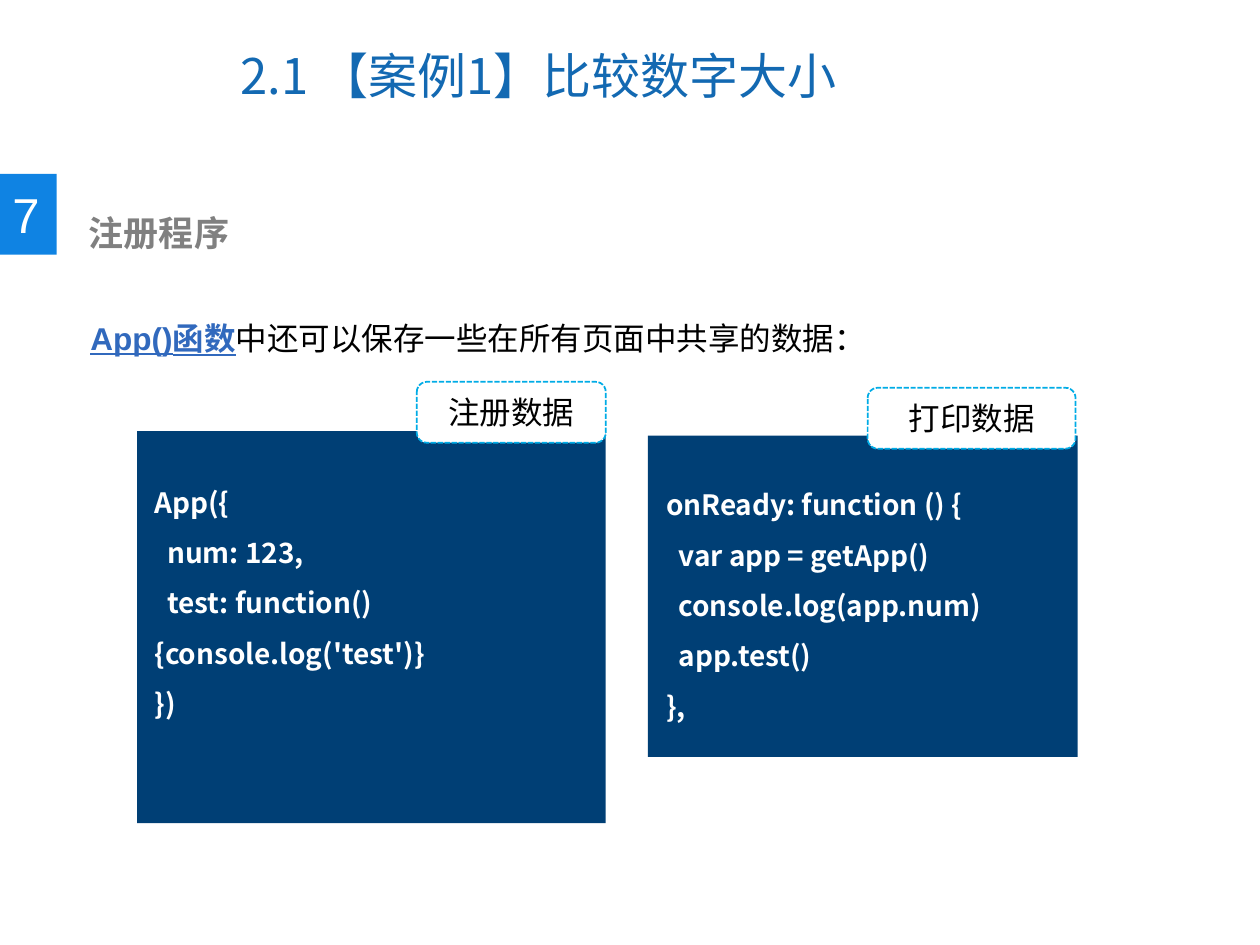
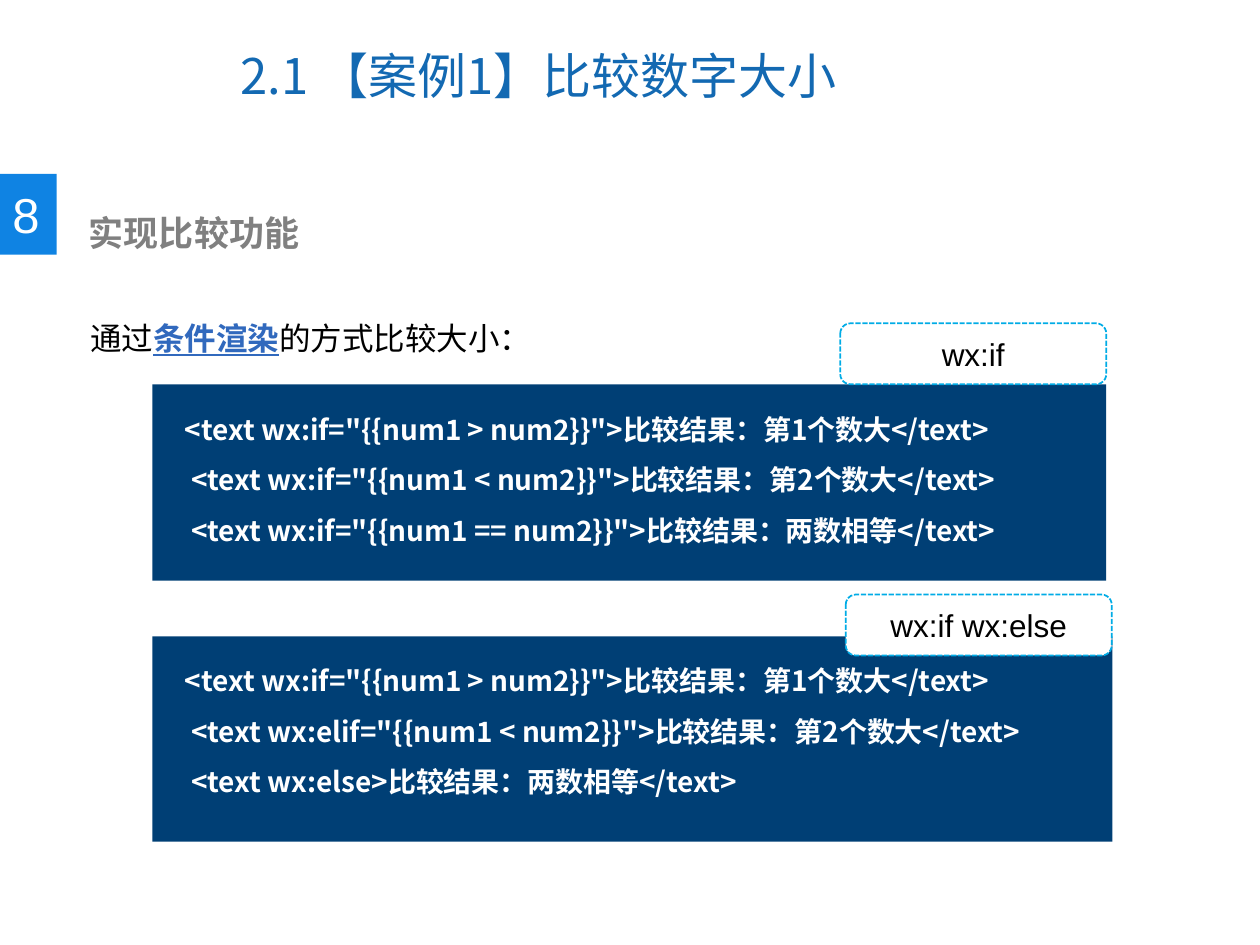
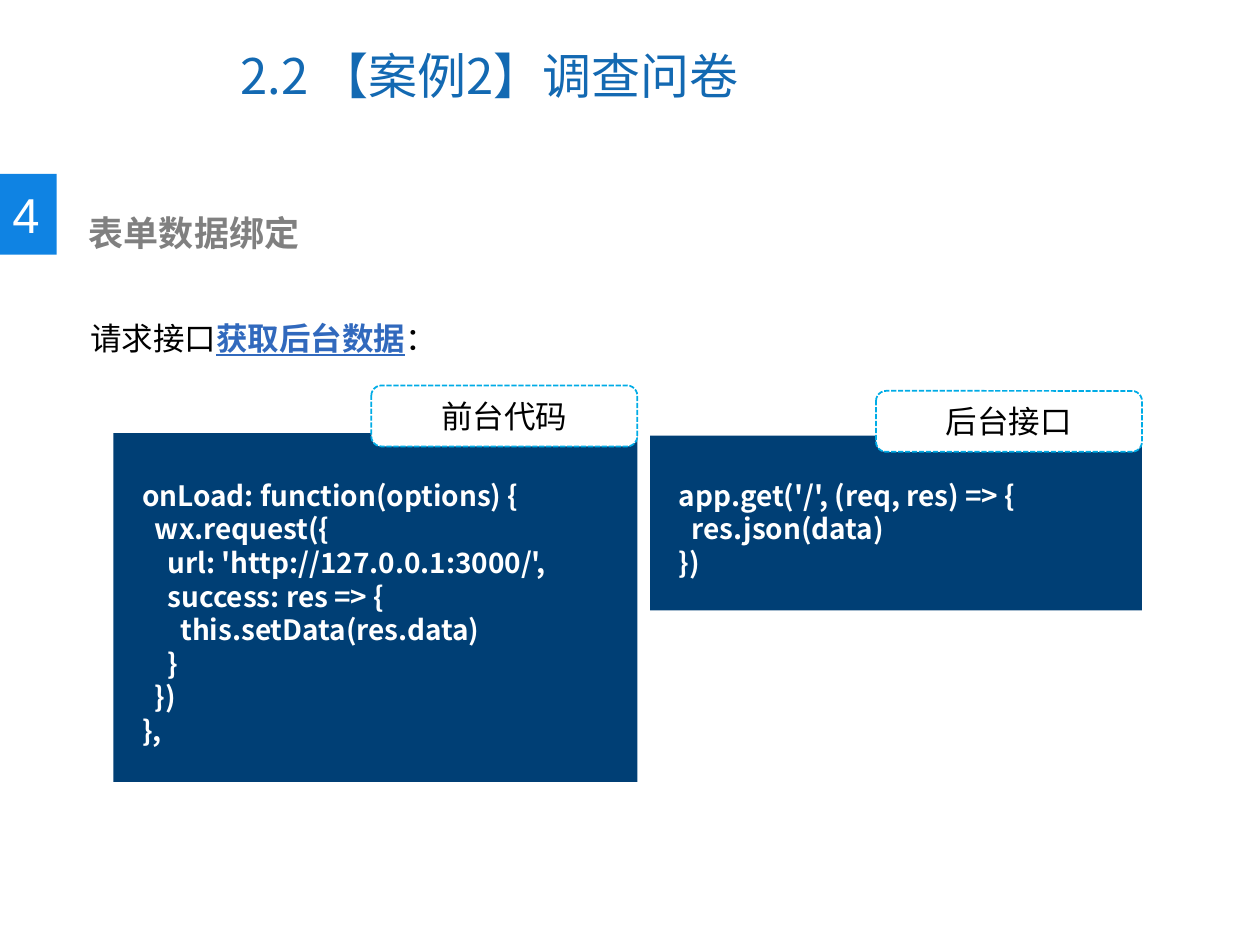
from dataclasses import dataclass

from pptx import Presentation
from pptx.dml.color import RGBColor
from pptx.enum.dml import MSO_LINE
from pptx.enum.shapes import MSO_SHAPE as Shape
from pptx.enum.text import MSO_ANCHOR as Anchor, MSO_AUTO_SIZE as AutoSize, PP_ALIGN as Align
from pptx.oxml.ns import qn
from pptx.util import Pt


@dataclass(frozen=True)
class Theme:
    title_blue: str = "1369B2"
    badge_blue: str = "0F83E3"
    panel_navy: str = "003F75"
    tag_cyan: str = "00ACE6"
    key_blue: str = "3169BD"
    heading_grey: str = "808080"
    black: str = "000000"
    white: str = "FFFFFF"
    latin: str = "Arial"
    cjk: str = "Noto Sans CJK SC"
    title_size: int = 28
    heading_size: int = 20
    body_size: int = 18
    code_size: int = 16


THEME = Theme()
TITLE_STYLE = dict(size=THEME.title_size, name=THEME.cjk, color=THEME.title_blue)
BADGE_STYLE = dict(size=THEME.title_size, name=THEME.latin, color=THEME.white)
HEADING_STYLE = dict(size=THEME.heading_size, name=THEME.cjk, color=THEME.heading_grey, bold=True)
BODY_STYLE = dict(size=THEME.body_size, name=THEME.latin, color=THEME.black)
KEY_STYLE = dict(BODY_STYLE, color=THEME.key_blue, bold=True, underline=True)
CODE_STYLE = dict(size=THEME.code_size, name=THEME.cjk, color=THEME.white, bold=True)

TITLE_BOX = (130.3, 12.2, 371.5, 61.2)
BADGE_BOX = (0, 99.4, 32.4, 46.1)
BADGE_TEXT_BOX = (0, 102.2, 30.2, 41)
HEADING_BOX = (33.8, 117.4, 577, 31.7)
LEAD_BOX = (44.6, 157, 622.8, 51.1)
TAG_HEIGHT = 34.8


def points(box):
    return [Pt(length) for length in box]


def add_run(paragraph, text, style):
    run = paragraph.add_run()
    run.text = text
    values = dict(style)
    run.font.color.rgb = RGBColor.from_string(values.pop("color"))
    values["size"] = Pt(values["size"])
    for attribute, value in values.items():
        setattr(run.font, attribute, value)
    east_asian = run.font._element.makeelement(qn("a:ea"), {"typeface": THEME.cjk})
    run.font._element.find(qn("a:latin")).addnext(east_asian)


def add_text(slide, box, lines, spacing=None, **frame_format):
    """Add a text box; each line is a list of (text, style) pairs."""
    frame = slide.shapes.add_textbox(*points(box)).text_frame
    for attribute, value in {"word_wrap": True, **frame_format}.items():
        setattr(frame, attribute, value)
    for index, line in enumerate(lines):
        paragraph = frame.add_paragraph() if index else frame.paragraphs[0]
        if spacing:
            paragraph.line_spacing = spacing
        for text, style in line:
            add_run(paragraph, text, style)


def add_block(slide, kind, box, color):
    block = slide.shapes.add_shape(kind, *points(box))
    block.shadow.inherit = False
    block.fill.solid()
    block.fill.fore_color.rgb = RGBColor.from_string(color)
    block.line.fill.background()
    return block


def add_title(slide, text):
    title = slide.shapes.title
    title.left, title.top, title.width, title.height = points(TITLE_BOX)
    frame = title.text_frame
    frame.auto_size = AutoSize.NONE
    frame.vertical_anchor = Anchor.MIDDLE
    frame.paragraphs[0].alignment = Align.LEFT
    add_run(frame.paragraphs[0], text, TITLE_STYLE)


def add_step_heading(slide, number, text):
    add_block(slide, Shape.RECTANGLE, BADGE_BOX, THEME.badge_blue)
    add_text(slide, BADGE_TEXT_BOX, [[(number, BADGE_STYLE)]], word_wrap=False)
    add_text(slide, HEADING_BOX, [[(text, HEADING_STYLE)]], margin_left=Pt(17))


def add_lead(slide, before, key, after):
    """Add the opening sentence with its key term underlined."""
    parts = [(before, BODY_STYLE), (key, KEY_STYLE), (after, BODY_STYLE)]
    add_text(slide, LEAD_BOX, [[part for part in parts if part[0]]], spacing=2.0)


def add_code_panel(slide, panel_box, code_box, code, spacing=None):
    add_block(slide, Shape.RECTANGLE, panel_box, THEME.panel_navy)
    lines = [[(line, CODE_STYLE)] for line in code.splitlines()]
    add_text(slide, code_box, lines, spacing)


def add_tag(slide, left, top, width, text):
    """Add the dashed label that sits on the corner of a code panel."""
    tag = add_block(slide, Shape.ROUNDED_RECTANGLE, (left, top, width, TAG_HEIGHT), THEME.white)
    tag.line.color.rgb = RGBColor.from_string(THEME.tag_cyan)
    tag.line.width = Pt(1)
    tag.line.dash_style = MSO_LINE.SQUARE_DOT
    tag.text_frame.vertical_anchor = Anchor.MIDDLE
    label = tag.text_frame.paragraphs[0]
    label.alignment = Align.CENTER
    add_run(label, text, BODY_STYLE)


REGISTER_CODE = """\
App({
  num: 123,
  test: function() {console.log('test')}
})"""

PRINT_CODE = """\
onReady: function () {
  var app = getApp()
  console.log(app.num)
  app.test()
},"""

IF_CODE = """\
 <text wx:if="{{num1 > num2}}">比较结果：第1个数大</text>
  <text wx:if="{{num1 < num2}}">比较结果：第2个数大</text>
  <text wx:if="{{num1 == num2}}">比较结果：两数相等</text>"""

ELSE_CODE = """\
 <text wx:if="{{num1 > num2}}">比较结果：第1个数大</text>
  <text wx:elif="{{num1 < num2}}">比较结果：第2个数大</text>
  <text wx:else>比较结果：两数相等</text>"""

FRONT_CODE = """\
onLoad: function(options) {
  wx.request({
    url: 'http://127.0.0.1:3000/',
    success: res => {
      this.setData(res.data)
    }
  })
},"""

BACK_CODE = """\
app.get('/', (req, res) => {
  res.json(data)
})"""

COMPARE_TITLE = "2.1 【案例1】比较数字大小"

# Panels: (panel box, code box, code, line spacing); tags: (left, top, width, text)
SLIDES = [
    dict(
        title=COMPARE_TITLE,
        step=("7", "注册程序"),
        lead=("", "App()函数", "中还可以保存一些在所有页面中共享的数据："),
        panels=[
            ((78.3, 246.4, 267.8, 224), (81.2, 264.2, 253.4, 179.3), REGISTER_CODE, 1.5),
            ((370.2, 249, 245.6, 183.6), (373.5, 265.7, 244.1, 129.6), PRINT_CODE, 1.5),
        ],
        tags=[(238.2, 218.2, 108, "注册数据"), (495.8, 221.6, 118.8, "打印数据")],
    ),
    dict(
        title=COMPARE_TITLE,
        step=("8", "实现比较功能"),
        lead=("通过", "条件渲染", "的方式比较大小："),
        panels=[
            ((87.1, 219.6, 545, 112.3), (95, 222.5, 537.1, 109.4), IF_CODE, 1.5),
            ((87.1, 363.6, 548.6, 117.4), (95, 366.2, 540.7, 94.3), ELSE_CODE, 1.5),
        ],
        tags=[(480.2, 184.8, 152, "wx:if"), (483.3, 339.8, 152, "wx:if wx:else")],
    ),
    dict(
        title="2.2 【案例2】调查问卷",
        step=("4", "表单数据绑定"),
        lead=("请求接口", "获取后台数据", "："),
        panels=[
            ((64.8, 247.5, 299.5, 199.4), (74.2, 269.8, 289.4, 176.6), FRONT_CODE, None),
            ((371.5, 249, 281, 99.8), (380.9, 269.8, 272.2, 66), BACK_CODE, None),
        ],
        tags=[(212.2, 220.3, 152, "前台代码"), (500.6, 223.4, 152, "后台接口")],
    ),
]


def main():
    deck = Presentation()
    deck.slide_width, deck.slide_height = Pt(720), Pt(540)
    title_only = deck.slide_layouts.get_by_name("Title Only")
    for content in SLIDES:
        slide = deck.slides.add_slide(title_only)
        add_title(slide, content["title"])
        add_step_heading(slide, *content["step"])
        add_lead(slide, *content["lead"])
        for panel in content["panels"]:
            add_code_panel(slide, *panel)
        for tag in content["tags"]:
            add_tag(slide, *tag)
    deck.save("out.pptx")


if __name__ == "__main__":
    main()
